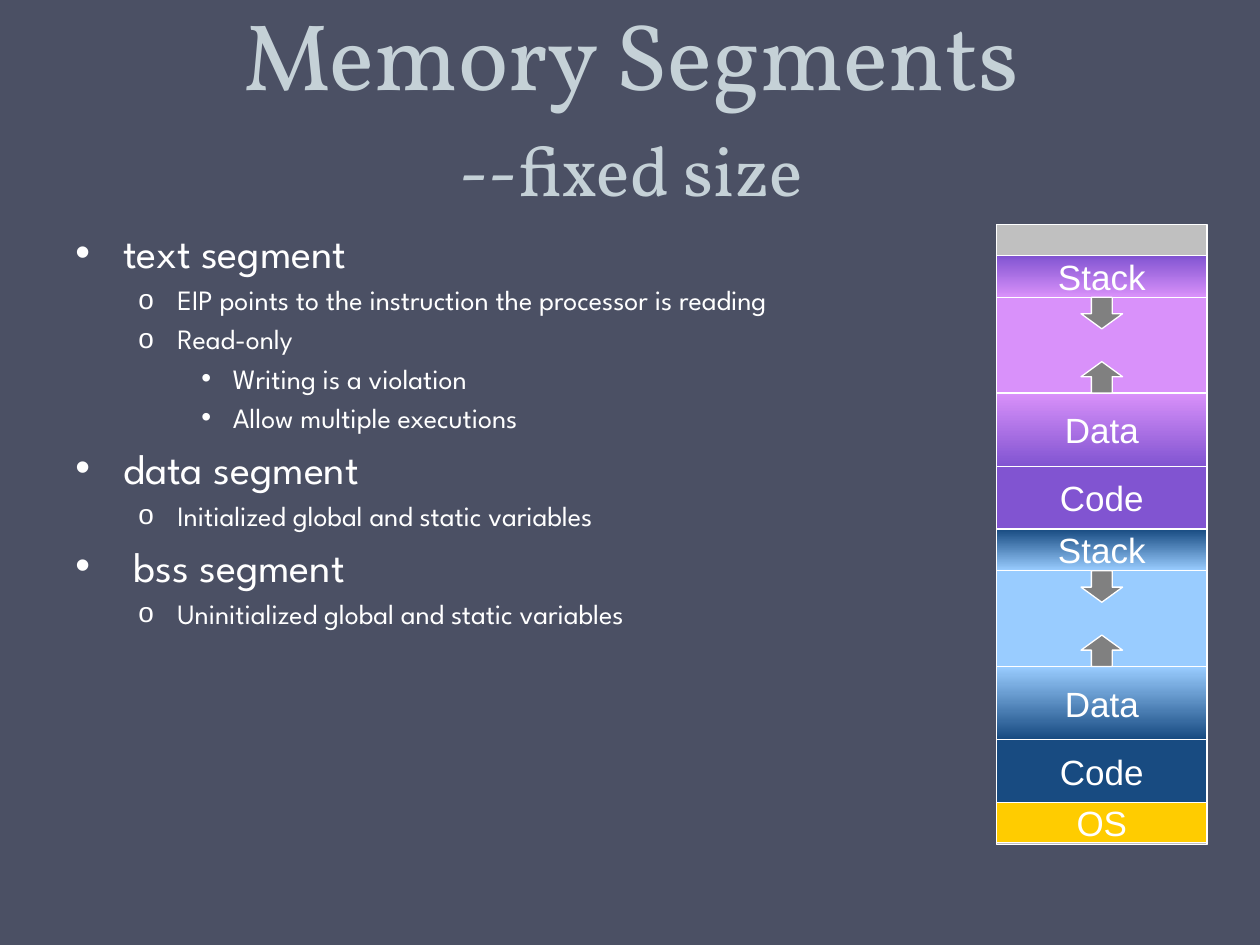
import pptx
import pptx.dml.color
import pptx.enum.shapes
import pptx.enum.text
import pptx.oxml.ns
import pptx.util
from lxml import etree

Inches = pptx.util.Inches
Pt = pptx.util.Pt
SHAPES = pptx.enum.shapes.MSO_SHAPE
ALIGN = pptx.enum.text.PP_ALIGN
ANCHOR = pptx.enum.text.MSO_ANCHOR

COLORS = {
    "background": "4B5064",
    "title": "C5D1D7",
    "white": "FFFFFF",
    "unused": "C0C0C0",
    "os": "FFCC00",
    "arrow": "808080",
    "light blue": "99CCFF",
    "dark blue": "184B81",
    "light purple": "D991FA",
    "dark purple": "8154D1",
}
LEVELS = [
    {"size": 24, "margin": 0.38, "hanging": 0.38, "bullet": "•"},
    {"size": 16, "margin": 0.81, "hanging": 0.31, "bullet": "o"},
    {"size": 16, "margin": 1.25, "hanging": 0.25, "bullet": "•"},
]
OUTLINE = [
    (0, "text segment"),
    (1, "EIP points to the instruction the processor is reading"),
    (1, "Read-only"),
    (2, "Writing is a violation"),
    (2, "Allow multiple executions"),
    (0, "data segment"),
    (1, "Initialized global and static variables"),
    (0, " bss segment"),
    (1, "Uninitialized global and static variables"),
]
MEMORY_LEFT, MEMORY_WIDTH = 7.91, 1.67
ARROW_WIDTH, ARROW_HEIGHT = 0.33, 0.25
STACK_HEIGHT, DATA_HEIGHT, CODE_HEIGHT = 0.33, 0.58, 0.5
PROCESS_HEIGHT = 2.17


def color(name):
    return pptx.dml.color.RGBColor.from_string(COLORS[name])


def add_span(para, text, *, size, font, fill="white"):
    span = para.add_run()
    span.text = text
    span.font.size = Pt(size)
    span.font.name = font
    span.font.color.rgb = color(fill)


def add_box(page, left, top, width, height, anchor):
    box = page.shapes.add_textbox(Inches(left), Inches(top), Inches(width), Inches(height))
    box.text_frame.word_wrap = True
    box.text_frame.vertical_anchor = anchor
    return box.text_frame


def add_title(page):
    para = add_box(page, 0.51, -0.03, 9, 1.75, ANCHOR.BOTTOM).paragraphs[0]
    para.alignment = ALIGN.CENTER
    para.line_spacing = Pt(58)
    add_span(para, "Memory Segments", size=54, font="Vollkorn", fill="title")
    para.add_line_break()
    add_span(para, "--fixed size", size=40, font="Vollkorn", fill="title")


def set_bullet(para, level):
    properties = para._p.get_or_add_pPr()
    properties.set("marL", str(Inches(level["margin"])))
    properties.set("indent", str(-Inches(level["hanging"])))
    qn = pptx.oxml.ns.qn
    etree.SubElement(properties, qn("a:buFont")).set("typeface", "Arial")
    etree.SubElement(properties, qn("a:buChar")).set("char", level["bullet"])


def add_outline(page):
    frame = add_box(page, 0.5, 1.75, 9, 4.95, ANCHOR.TOP)
    for index, (depth, text) in enumerate(OUTLINE):
        para = frame.add_paragraph() if index else frame.paragraphs[0]
        level = LEVELS[depth]
        set_bullet(para, level)
        para.level = depth
        if index:
            para.space_before = Pt(level["size"] * 0.2)
        add_span(para, text, size=level["size"], font="League Spartan")


def add_block(page, kind, left, top, width, height, fills, text=""):
    block = page.shapes.add_shape(kind, Inches(left), Inches(top), Inches(width), Inches(height))
    block.shadow.inherit = False
    block.line.color.rgb = color("white")
    block.line.width = Pt(0.75)
    if len(fills) == 1:
        block.fill.solid()
        block.fill.fore_color.rgb = color(fills[0])
    else:
        block.fill.gradient()
        block.fill.gradient_angle = 270
        for position, (stop, name) in enumerate(zip(block.fill.gradient_stops, fills)):
            stop.position = position
            stop.color.rgb = color(name)
    if text:
        frame = block.text_frame
        frame.word_wrap = False
        frame.vertical_anchor = ANCHOR.MIDDLE
        frame.paragraphs[0].alignment = ALIGN.CENTER
        add_span(frame.paragraphs[0], text, size=20, font="Arial")
    return block


def add_segment(page, top, height, fills, text=""):
    add_block(page, SHAPES.RECTANGLE, MEMORY_LEFT, top, MEMORY_WIDTH, height, fills, text)


def add_arrow(page, kind, top):
    left = MEMORY_LEFT + (MEMORY_WIDTH - ARROW_WIDTH) / 2
    arrow = add_block(page, kind, left, top, ARROW_WIDTH, ARROW_HEIGHT, ["arrow"])
    arrow.adjustments[0] = 0.5
    arrow.adjustments[1] = 0.48


def add_process(page, top, light, dark):
    code_top = top + PROCESS_HEIGHT - CODE_HEIGHT
    data_top = code_top - DATA_HEIGHT
    add_segment(page, top, PROCESS_HEIGHT, [light])
    add_segment(page, code_top, CODE_HEIGHT, [dark], "Code")
    add_segment(page, data_top, DATA_HEIGHT, [light, dark], "Data")
    add_segment(page, top, STACK_HEIGHT, [dark, light], "Stack")
    add_arrow(page, SHAPES.UP_ARROW, data_top - ARROW_HEIGHT)
    add_arrow(page, SHAPES.DOWN_ARROW, top + STACK_HEIGHT)


def add_memory(page):
    add_segment(page, 1.78, 4.92, ["unused"])
    add_segment(page, 6.36, 0.33, ["os"], "OS")
    add_process(page, 4.2, "light blue", "dark blue")
    add_process(page, 2.03, "light purple", "dark purple")


def main():
    deck = pptx.Presentation()
    deck.slide_width = Inches(10)
    deck.slide_height = Inches(7.5)
    page = deck.slides.add_slide(deck.slide_layouts[6])
    page.background.fill.solid()
    page.background.fill.fore_color.rgb = color("background")
    add_title(page)
    add_outline(page)
    add_memory(page)
    deck.save("out.pptx")


if __name__ == "__main__":
    main()
